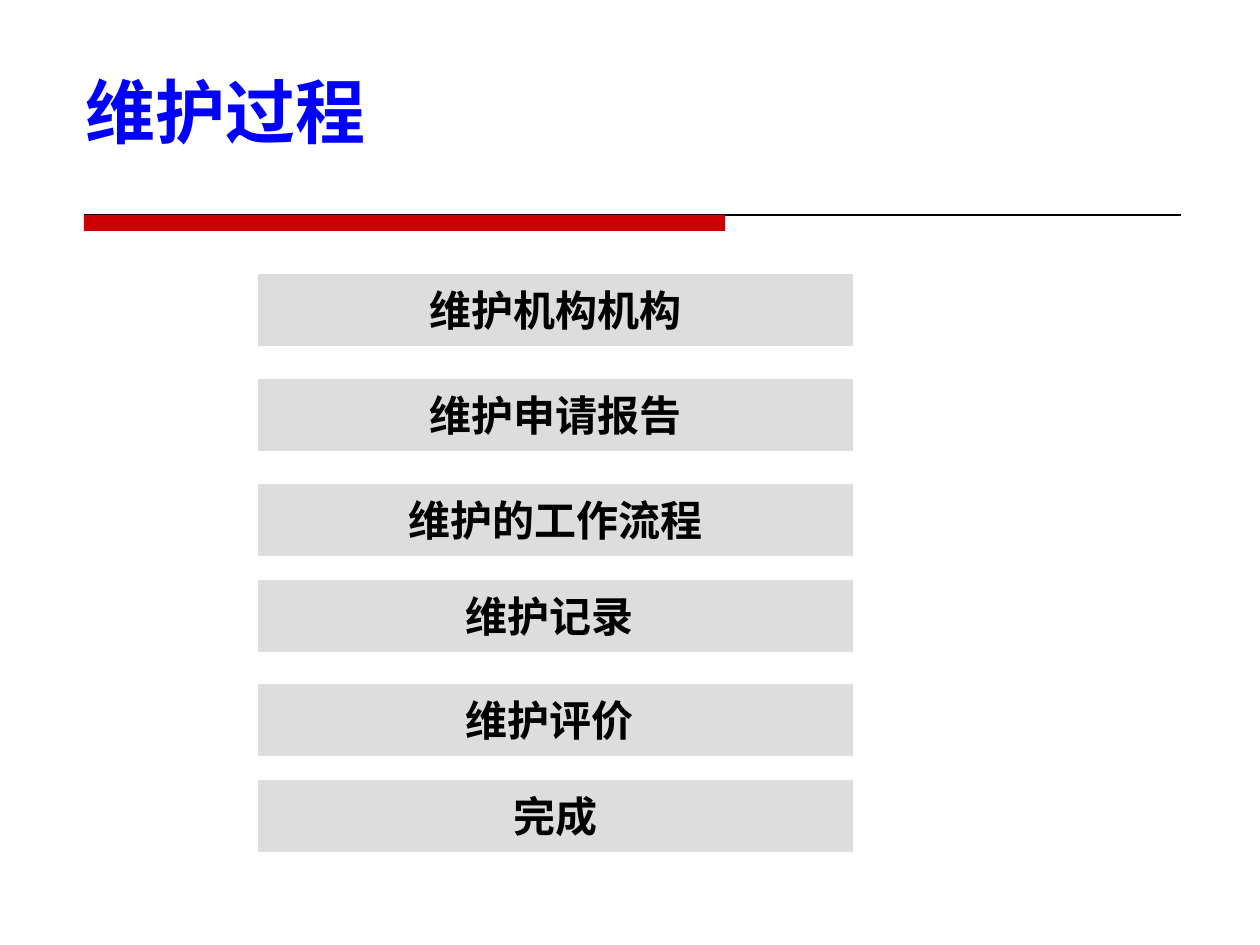
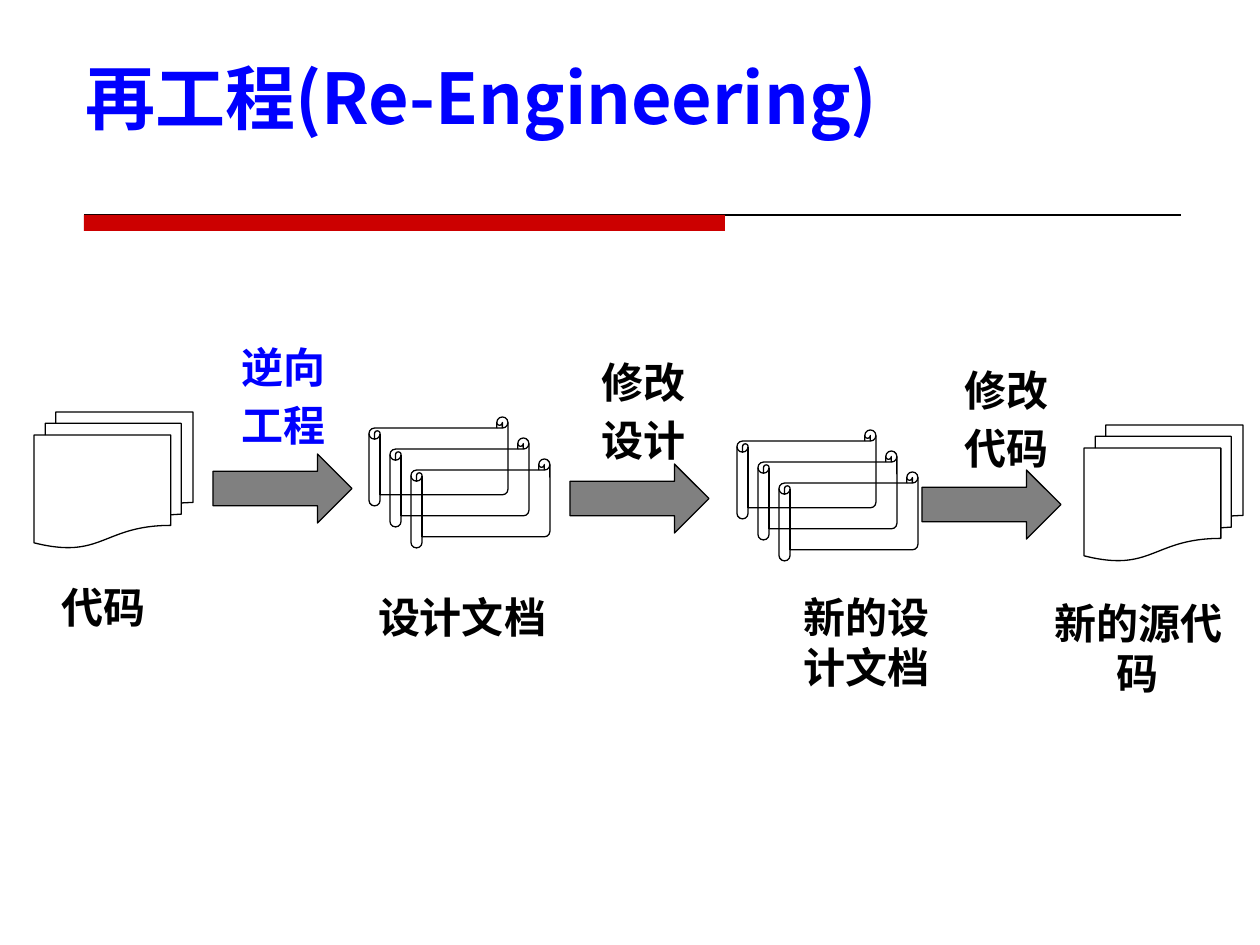
from lxml import etree
from pptx import Presentation
from pptx.dml.color import RGBColor
from pptx.enum.shapes import MSO_CONNECTOR, MSO_SHAPE as Preset
from pptx.enum.text import MSO_ANCHOR as Anchor, MSO_AUTO_SIZE, PP_ALIGN
from pptx.oxml.ns import qn
from pptx.util import Emu, Pt

BLUE = RGBColor(0x00, 0x00, 0xFF)
RED = RGBColor(0xCC, 0x00, 0x00)
BLACK = RGBColor(0x00, 0x00, 0x00)
GRAY = RGBColor(0x80, 0x80, 0x80)
LIGHT_GRAY = RGBColor(0xDD, 0xDD, 0xDD)
TITLE_FONT, STEP_FONT, LABEL_FONT = "Noto Sans CJK SC", "Arial", "Cabin"

# Content; all lengths are px, 126 to the inch
STEPS = [
    ("维护机构机构", 274), ("维护申请报告", 379), ("维护的工作流程", 484),
    ("维护记录 ", 580), ("维护评价 ", 684), ("完成", 780),
]
STEP_LEFT, STEP_WIDTH, STEP_HEIGHT = 258, 595, 72

CODE_STACKS = [(34, 412), (1084, 425)]
DESIGN_STACKS = [(369, 417), (737, 430)]
SCROLLS_PER_STACK, SCROLL_OFFSET = 3, 21
ARROWS = [(213, 454), (570, 464), (922, 470)]
CODE_SIZE, SCROLL_SIZE, ARROW_SIZE = (159, 136), (139, 89), (139, 69)

# Paragraphs, colour, left, top, width, height
LABELS = [
    (["代码"], BLACK, 9, 575, 189, 64),
    (["设计文档"], BLACK, 353, 585, 218, 64),
    (["新的设计文档"], BLACK, 772, 585, 189, 115),
    (["新的源代码"], BLACK, 1029, 591, 218, 115),
    (["逆向", "工程"], BLUE, 190, 335, 188, 125),
    (["修改", "设计"], BLACK, 549, 350, 189, 125),
    (["修改", "代码"], BLACK, 912, 358, 189, 125),
]


def px(*lengths):
    return [Emu(round(length * 914400 / 126)) for length in lengths]


def format_text(text_frame, font, size, color, align=PP_ALIGN.LEFT):
    for paragraph in text_frame.paragraphs:
        paragraph.alignment = align
        for run in paragraph.runs:
            run.font.name = font
            run.font.size = Pt(size)
            run.font.bold = True
            run.font.color.rgb = color
            east_asian = etree.Element(qn("a:ea"), typeface=font)
            run.font._element.find(qn("a:latin")).addnext(east_asian)


def add_preset(shapes, preset, left, top, width, height, fill=None, line=None):
    shape = shapes.add_shape(preset, *px(left, top, width, height))
    shape.shadow.inherit = False
    if fill is None:
        shape.fill.background()
    else:
        shape.fill.solid()
        shape.fill.fore_color.rgb = fill
    if line is None:
        shape.line.fill.background()
    else:
        shape.line.color.rgb = line
        shape.line.width = Pt(0.75)
    return shape


def add_titled_slide(presentation, title, top, width, height, anchor):
    slide = presentation.slides.add_slide(presentation.slide_layouts[6])
    rule = slide.shapes.add_connector(MSO_CONNECTOR.STRAIGHT, *px(84, 215, 1181, 215))
    rule.line.color.rgb = BLACK
    rule.line.width = Pt(0.75)
    etree.SubElement(rule._element.spPr, qn("a:effectLst"))
    add_preset(slide.shapes, Preset.RECTANGLE, 84, 215, 641, 16, RED)

    text_frame = slide.shapes.add_textbox(*px(73, top, width, height)).text_frame
    text_frame.word_wrap = True
    text_frame.vertical_anchor = anchor
    if anchor == Anchor.BOTTOM:
        text_frame.margin_bottom = 0
    text_frame.text = title
    format_text(text_frame, TITLE_FONT, 40, BLUE)
    return slide


def add_label(slide, lines, color, *box):
    label = slide.shapes.add_textbox(*px(*box))
    text_frame = label.text_frame
    text_frame.word_wrap = True
    text_frame.auto_size = MSO_AUTO_SIZE.SHAPE_TO_FIT_TEXT
    text_frame.text = "\n".join(lines)
    format_text(text_frame, LABEL_FONT, 24, color, PP_ALIGN.CENTER)
    for paragraph in text_frame.paragraphs[1:]:
        paragraph.space_before = Pt(4.8)


def build_maintenance_process(presentation):
    slide = add_titled_slide(presentation, "维护过程", 69, 1071, 84, Anchor.BOTTOM)
    for text, top in STEPS:
        step = add_preset(slide.shapes, Preset.ACTION_BUTTON_CUSTOM,
                          STEP_LEFT, top, STEP_WIDTH, STEP_HEIGHT, LIGHT_GRAY)
        text_frame = step.text_frame
        text_frame.margin_left = text_frame.margin_right = 0
        text_frame.vertical_anchor = Anchor.MIDDLE
        text_frame.text = text
        format_text(text_frame, STEP_FONT, 24, BLACK, PP_ALIGN.CENTER)


def build_reengineering(presentation):
    slide = add_titled_slide(presentation, "再工程(Re-Engineering)", 49, 1134, 95, Anchor.MIDDLE)
    for position in CODE_STACKS:
        add_preset(slide.shapes, Preset.FLOWCHART_MULTIDOCUMENT, *position, *CODE_SIZE, line=BLACK)
    for left, top in DESIGN_STACKS:
        stack = slide.shapes.add_group_shape()
        for index in range(SCROLLS_PER_STACK):
            shift = index * SCROLL_OFFSET
            add_preset(stack.shapes, Preset.HORIZONTAL_SCROLL,
                       left + shift, top + shift, *SCROLL_SIZE, line=BLACK)
    for position in ARROWS:
        add_preset(slide.shapes, Preset.RIGHT_ARROW, *position, *ARROW_SIZE, GRAY, BLACK)
    for label in LABELS:
        add_label(slide, *label)


def main():
    presentation = Presentation()
    presentation.slide_width, presentation.slide_height = px(1260, 945)
    build_maintenance_process(presentation)
    build_reengineering(presentation)
    presentation.save("out.pptx")


if __name__ == "__main__":
    main()
